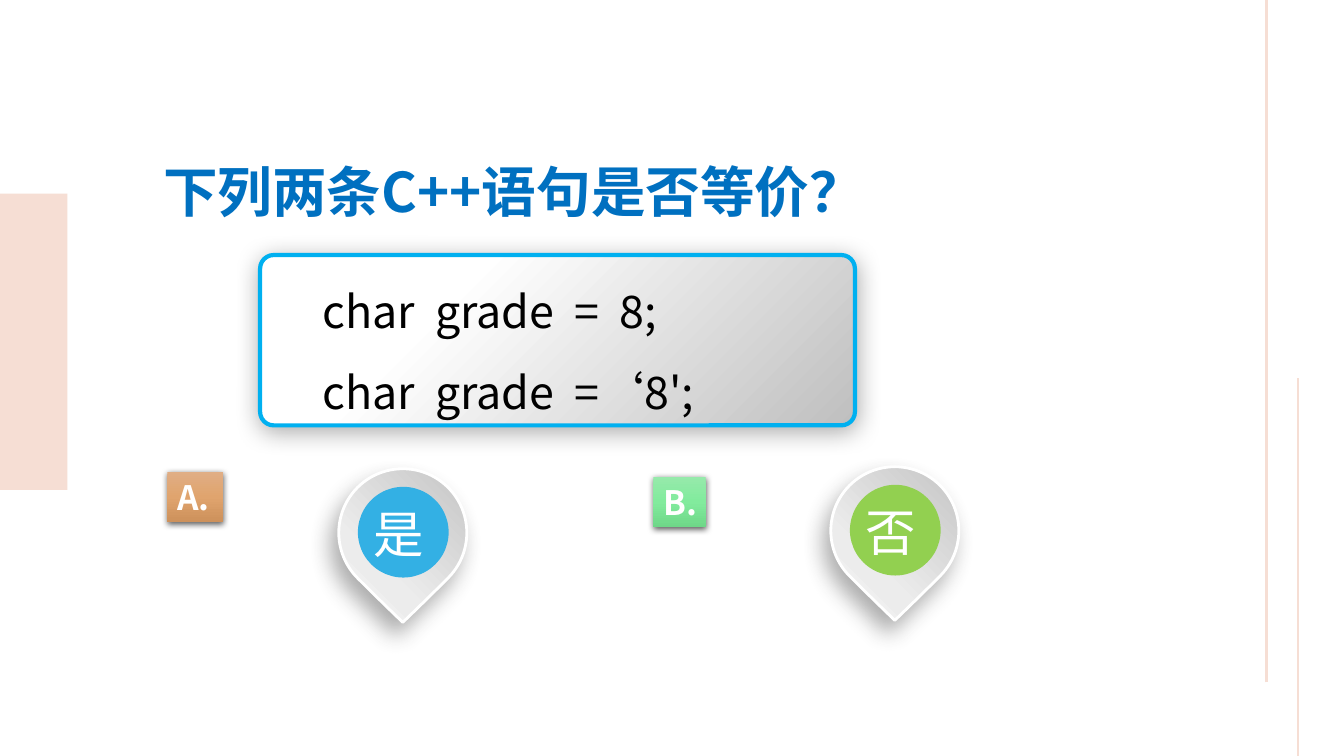
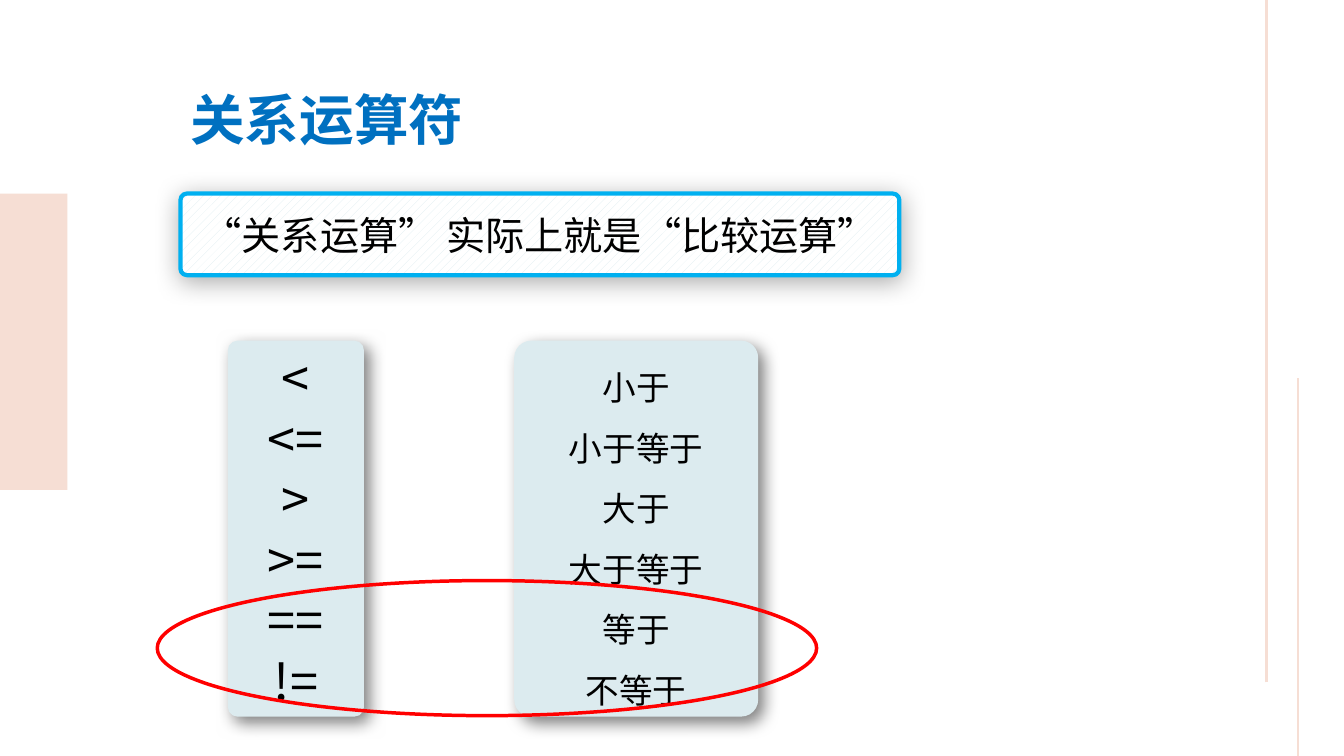
from lxml import etree
from pptx import Presentation, util as u
from pptx.dml.color import RGBColor
from pptx.enum import dml, shapes, text
from pptx.oxml.ns import qn

FONT = "Noto Sans CJK SC"
PINK = RGBColor(0xF6, 0xDE, 0xD4)
BLUE = RGBColor(0x00, 0x70, 0xC0)
CYAN = RGBColor(0x00, 0xB0, 0xF0)
SKY = RGBColor(0x33, 0xB0, 0xE4)
GREEN = RGBColor(0x92, 0xD0, 0x50)
PALE = RGBColor(0xDC, 0xEB, 0xEF)
RED = RGBColor(0xFF, 0x00, 0x00)
BLACK = RGBColor(0, 0, 0)
WHITE = RGBColor(255, 255, 255)

# Gradients: angle, then (position %, colour)
STEEL = 45, [(30, WHITE), (100, RGBColor(0xBF, 0xBF, 0xBF))]
SILVER = 0, [(7, RGBColor(0xBE, 0xBE, 0xBE)), (66, RGBColor(0xEC, 0xEC, 0xEC)),
             (100, RGBColor(0xF7, 0xF7, 0xF7))]
SAND = 90, [(0, RGBColor(0xE0, 0xAE, 0x85)), (50, RGBColor(0xE0, 0xA4, 0x6E)),
            (100, RGBColor(0xCD, 0x91, 0x5B))]
MINT = 90, [(0, RGBColor(0x96, 0xEA, 0xAB)), (50, RGBColor(0x82, 0xEB, 0x9D)),
            (100, RGBColor(0x6E, 0xD7, 0x88))]

# Shadows: colour, opacity %, blur, distance, direction
GLOW = BLACK, 33, 17.8, 3, 87
TAG = BLACK, 63, 4.5, 1.5, 90
DROP = RGBColor(0x35, 0x35, 0x35), 40, 16, 10, 120
CAST = BLACK, 50, 12, 6, 45

RAILS = [(12.56, 6.77, 0, 2.25), (12.87, 7.5, 3.75, 1.5)]
QUIZ = "下列两条C++语句是否等价？"
CODE = ["char  grade  =  8;", "char  grade  =‘8';"]
TAGS = [("A.", (1.66, 4.68, 0.55, 0.5), SAND), ("B.", (6.48, 4.73, 0.52, 0.5), MINT)]
PINS = [("是", 3.36, 4.65, SKY), ("否", 8.24, 4.63, GREEN)]
TOPIC = "关系运算符"
CLAIM = "“关系运算” 实际上就是“比较运算”"
SIGNS = ["<", "<=", ">", ">=", "==", "!="]
NAMES = ["小于", "小于等于", "大于", "大于等于", "等于", "不等于"]
PANELS = [(SIGNS, 2.26, 1.35, 36, 1.2), (NAMES, 5.1, 2.42, 24, 1.8)]

MID = {"vertical_anchor": text.MSO_ANCHOR.MIDDLE}
KIND = shapes.MSO_SHAPE


def write(shape, lines, size, color=BLACK, pitch=1.2, bold=False, align=None, **frame):
    """Fill a shape with lines whose pitch is a multiple of the text size."""
    body = shape.text_frame
    for key, val in {"word_wrap": True, **frame}.items():
        setattr(body, key, val)
    body.text = "\n".join(lines)
    for para in body.paragraphs:
        para.alignment = align or text.PP_ALIGN.LEFT
        para.line_spacing = u.Pt(size * pitch)
        font = para.runs[0].font
        for key, val in {"name": FONT, "size": u.Pt(size), "bold": bold}.items():
            setattr(font, key, val)
        font.color.rgb = color
        etree.SubElement(font._element, qn("a:ea"), typeface=FONT)


def label(slide, box, lines, size, **style):
    write(slide.shapes.add_textbox(*map(u.Inches, box)), lines, size, **style)


def tint(node, color):
    return etree.SubElement(node, qn("a:srgbClr"), val=str(color))


def blend(shape, grad):
    """Replace the fill with a gradient that turns with the shape."""
    angle, stops = grad
    shape.fill.background()
    old = shape._element.spPr.find(qn("a:noFill"))
    fill = etree.Element(qn("a:gradFill"), rotWithShape="1")
    group = etree.SubElement(fill, qn("a:gsLst"))
    for pos, color in stops:
        tint(etree.SubElement(group, qn("a:gs"), pos=str(pos * 1000)), color)
    etree.SubElement(fill, qn("a:lin"), ang=str(angle * 60000), scaled="0")
    old.getparent().replace(old, fill)


def shade(shape, cast):
    color, alpha, blur, dist, angle = cast
    effects = shape._element.spPr.find(qn("a:effectLst"))
    outer = etree.SubElement(
        effects, qn("a:outerShdw"), blurRad=str(u.Pt(blur)), dist=str(u.Pt(dist)),
        dir=str(angle * 60000), algn="ctr", rotWithShape="0")
    etree.SubElement(tint(outer, color), qn("a:alpha"), val=str(alpha * 1000))


def draw(slide, kind, box, fill=None, line=None, cast=None, adj=None):
    """Add a preset shape; fill is a colour, a gradient or None."""
    shape = slide.shapes.add_shape(kind, *map(u.Inches, box))
    shape.shadow.inherit = False
    if fill is None:
        shape.fill.background()
    elif isinstance(fill, RGBColor):
        shape.fill.solid()
        shape.fill.fore_color.rgb = fill
    else:
        blend(shape, fill)
    if line:
        shape.line.color.rgb, shape.line.width = line[0], u.Pt(line[1])
    else:
        shape.line.fill.background()
    if cast:
        shade(shape, cast)
    if adj is not None:
        shape.adjustments[0] = adj
    return shape


def start(deck, title, box):
    """Add a slide with the shared band, rails and title."""
    slide = deck.slides.add_slide(deck.slide_layouts[6])
    draw(slide, KIND.RECTANGLE, (0, 1.92, 0.67, 2.94), PINK)
    for x, low, top, width in RAILS:
        rail = slide.shapes.add_connector(
            shapes.MSO_CONNECTOR.STRAIGHT, *map(u.Inches, (x, low, x, top)))
        rail.line.color.rgb, rail.line.width = PINK, u.Pt(width)
        etree.SubElement(rail._element.spPr, qn("a:effectLst"))
    label(slide, box, [title], 39, color=BLUE, bold=True)
    return slide


def frame(slide, box, fill=None):
    return draw(slide, KIND.ROUNDED_RECTANGLE, box, fill, (CYAN, 3), GLOW, 0.08)


def pin(slide, word, x, y, color):
    drop = draw(slide, KIND.TEAR, (x, y, 1.27, 1.27), SILVER, (WHITE, 2), DROP, 0.99)
    drop.rotation = 135
    draw(slide, KIND.OVAL, (x + 0.19, y + 0.18, 0.9, 0.9), color)
    label(slide, (x + 0.25, y + 0.29, 0.77, 0.71), [word], 36, color=WHITE)


def quiz(deck):
    slide = start(deck, QUIZ, (1.52, 1.52, 8.26, 0.76))
    frame(slide, (2.58, 2.53, 5.9, 1.69), STEEL)
    label(slide, (3.1, 2.5, 4.77, 1.72), CODE, 32, pitch=1.8)
    for word, box, grad in TAGS:
        tag = draw(slide, KIND.RECTANGLE, box, grad, cast=TAG)
        write(tag, [word], 24, color=WHITE, bold=True, word_wrap=False,
              vertical_anchor=text.MSO_ANCHOR.TOP)
    for item in PINS:
        pin(slide, *item)


def topic(deck):
    slide = start(deck, TOPIC, (1.79, 0.8, 3.14, 0.76))
    center = text.PP_ALIGN.CENTER
    claim = frame(slide, (1.79, 1.92, 7.13, 0.81))
    claim.fill.patterned()
    claim.fill.pattern = dml.MSO_PATTERN.PERCENT_20
    claim.fill.fore_color.rgb, claim.fill.back_color.rgb = PALE, WHITE
    write(claim, [CLAIM], 28, align=center, **MID)
    for lines, x, width, size, pitch in PANELS:
        panel = draw(slide, KIND.ROUNDED_RECTANGLE, (x, 3.38, width, 3.73), PALE,
                     cast=CAST, adj=0.07)
        write(panel, lines, size, pitch=pitch, align=center, **MID)
    draw(slide, KIND.OVAL, (1.56, 5.76, 6.54, 1.34), line=(RED, 2.5))


def main():
    deck = Presentation()
    deck.slide_width, deck.slide_height = u.Inches(13.33), u.Inches(7.5)
    quiz(deck)
    topic(deck)
    deck.save("out.pptx")


if __name__ == "__main__":
    main()
